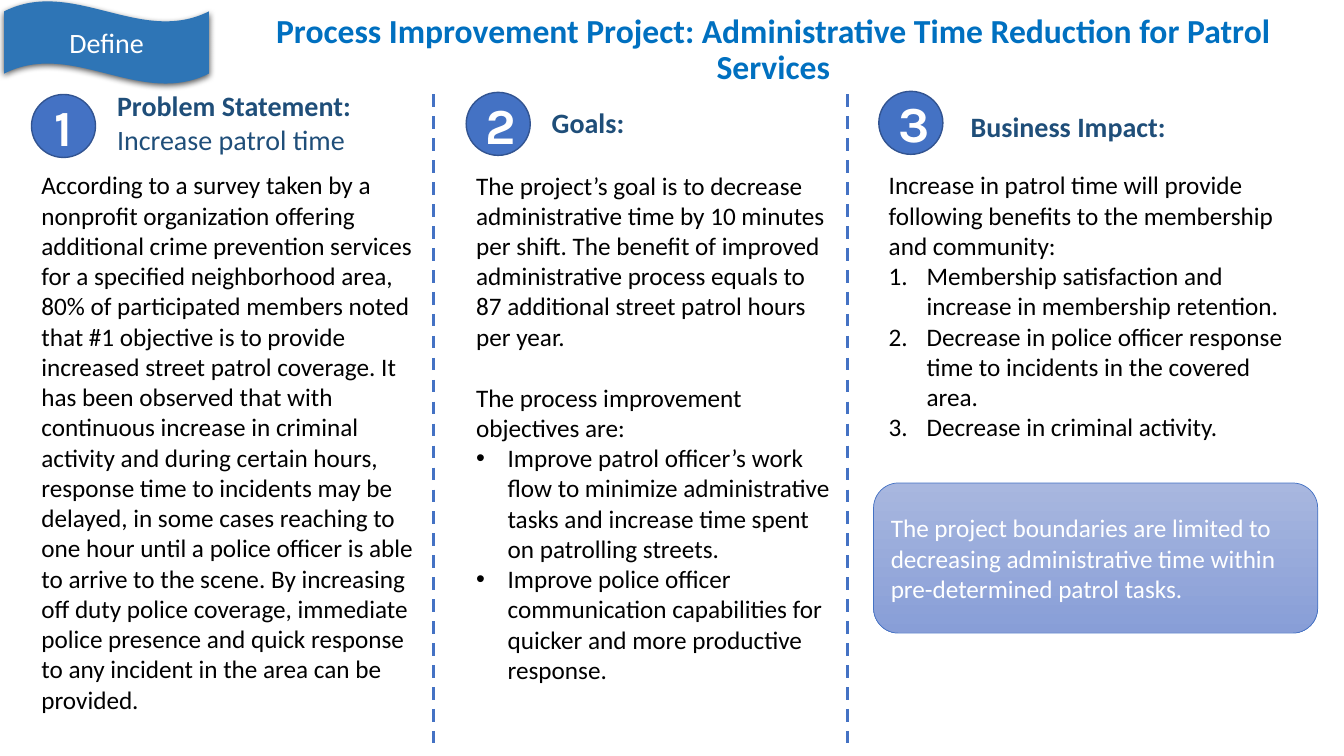
"""Build the Define slide of a patrol process improvement project."""
from lxml.etree import SubElement
from pptx import Presentation
from pptx.dml.color import RGBColor
from pptx.enum.dml import MSO_LINE
from pptx.enum.shapes import MSO_CONNECTOR, MSO_SHAPE
from pptx.enum.text import MSO_ANCHOR, PP_ALIGN
from pptx.oxml import parse_xml
from pptx.oxml.ns import nsdecls, qn
from pptx.util import Pt

PX = 9525
THEME = {
    "title": "0070C0", "heading": "1F4E79", "body": "000000", "white": "FFFFFF",
    "accent": "4472C4", "circle_line": "325491", "wave": "2E75B6",
    "gradient": ("A8B7DF", "889ED7"),
    "title_size": 24, "heading_size": 20, "body_size": 18, "number_size": 36,
    "font": "Calibri", "number_font": "Karla",
}
BULLETS = {
    "dot": (30, "buChar", {"char": "•"}),
    "number": (36, "buAutoNum", {"type": "arabicPeriod"}),
}
COLUMNS = [
    {
        "x": 30, "circle_y": 90, "heading_box": (102, 80, 343, 74), "body_size": (380, 563),
        "heading": [("Problem Statement:", True), ("Increase patrol time", False)],
        "body": [(
            "According to a survey taken by a nonprofit organization offering additional crime "
            "prevention services for a specified neighborhood area, 80% of participated members "
            "noted that #1 objective is to provide increased street patrol coverage. It has been "
            "observed that with continuous increase in criminal activity and during certain "
            "hours, response time to incidents may be delayed, in some cases reaching to one hour "
            "until a police officer is able to arrive to the scene. By increasing off duty police "
            "coverage, immediate police presence and quick response to any incident in the area "
            "can be provided.", None, 0)],
    },
    {
        "x": 444, "circle_y": 88, "heading_box": (516, 96, 258, 42), "body_size": (359, 504),
        "heading": [("Goals:", True)],
        "body": [
            ("The project’s goal is to decrease administrative time by 10 minutes per shift. The "
             "benefit of improved administrative process equals to 87 additional street patrol "
             "hours per year.", None, 0),
            ("The process improvement objectives are:", None, 22),
            ("Improve patrol officer’s work flow to minimize administrative tasks and increase "
             "time spent on patrolling streets.", "dot", 0),
            ("Improve police officer communication capabilities for quicker and more productive "
             "response.", "dot", 0),
        ],
    },
    {
        "x": 837, "circle_y": 87, "heading_box": (915, 100, 343, 42), "body_size": (414, 300),
        "heading": [("Business Impact:", True)],
        "body": [
            ("Increase in patrol time will provide following benefits to the membership and "
             "community:", None, 0),
            ("Membership satisfaction and increase in membership retention.", "number", 0),
            ("Decrease in police officer response time to incidents in the covered area.",
             "number", 0),
            ("Decrease in criminal activity.", "number", 0),
        ],
    },
]


def add_box(box, shape=None):
    """Add a preset shape, or a text box, with wrapped text."""
    box = [v * PX for v in box]
    if shape is None:
        sp = s.shapes.add_textbox(*box)
    else:
        sp = s.shapes.add_shape(shape, *box)
        sp.shadow.inherit = False
        sp.text_frame.vertical_anchor = MSO_ANCHOR.MIDDLE
    sp.text_frame.word_wrap = True
    return sp


def add_text(p, text, size, color, bold=False, font="font", align=PP_ALIGN.LEFT):
    """Add one styled run to a paragraph."""
    p.alignment = align
    r = p.add_run()
    r.text = text
    r.font.name = THEME[font]
    r.font.size = Pt(THEME[size])
    r.font.bold = bold
    r.font.color.rgb = RGBColor.from_string(THEME[color])


prs = Presentation()
prs.slide_width, prs.slide_height = 1280 * PX, 720 * PX
s = prs.slides.add_slide(prs.slide_layouts[6])

title = add_box((215, 12, 1043, 72))
title.text_frame.vertical_anchor = MSO_ANCHOR.MIDDLE
p = title.text_frame.paragraphs[0]
p.line_spacing = 0.9
add_text(p, "Process Improvement Project: Administrative Time Reduction for Patrol Services",
         "title_size", "title", bold=True, align=PP_ALIGN.CENTER)

for number, column in enumerate(COLUMNS, 1):
    tf = add_box((column["x"], 157, *column["body_size"])).text_frame
    for i, (text, bullet, space) in enumerate(column["body"]):
        p = tf.add_paragraph() if i else tf.paragraphs[0]
        if bullet:
            indent, tag, attributes = BULLETS[bullet]
            pPr = p._p.get_or_add_pPr()
            pPr.set("marL", str(indent * PX))
            pPr.set("indent", str(-indent * PX))
            SubElement(pPr, qn("a:buFont"), typeface="Arial" if bullet == "dot" else "+mj-lt")
            SubElement(pPr, qn(f"a:{tag}"), attributes)
        if space:
            p.space_before = Pt(space)
        add_text(p, text, "body_size", "body")

    circle = add_box((column["x"], column["circle_y"], 61, 60), MSO_SHAPE.OVAL)
    circle.fill.solid()
    circle.fill.fore_color.rgb = RGBColor.from_string(THEME["accent"])
    circle.line.color.rgb = RGBColor.from_string(THEME["circle_line"])
    circle.line.width = Pt(1)
    add_text(circle.text_frame.paragraphs[0], str(number), "number_size", "white",
             bold=True, font="number_font", align=PP_ALIGN.CENTER)

    tf = add_box(column["heading_box"]).text_frame
    for i, (text, bold) in enumerate(column["heading"]):
        p = tf.add_paragraph() if i else tf.paragraphs[0]
        add_text(p, text, "heading_size", "heading", bold=bold)

for x in (413, 807):
    divider = s.shapes.add_connector(MSO_CONNECTOR.STRAIGHT, x * PX, 90 * PX, x * PX, 716 * PX)
    divider.line.color.rgb = RGBColor.from_string(THEME["accent"])
    divider.line.width = Pt(2.25)
    divider.line.dash_style = MSO_LINE.DASH
    SubElement(divider._element.spPr, qn("a:effectLst"))

scope = add_box((832, 460, 423, 143), MSO_SHAPE.ROUNDED_RECTANGLE)
scope.fill.gradient()
scope.fill.gradient_angle = 270
for stop, position, color in zip(scope.fill.gradient_stops, (0, 1), THEME["gradient"]):
    stop.position = position
    stop.color.rgb = RGBColor.from_string(color)
scope.line.color.rgb = RGBColor.from_string(THEME["accent"])
scope.line.width = Pt(0.5)
add_text(scope.text_frame.paragraphs[0],
         "The project boundaries are limited to decreasing administrative time within "
         "pre-determined patrol tasks.", "body_size", "white")

wave = add_box((4, 1, 195, 79), MSO_SHAPE.WAVE)
wave.fill.solid()
wave.fill.fore_color.rgb = RGBColor.from_string(THEME["wave"])
wave.line.fill.background()
wave._element.spPr.find(qn("a:effectLst")).append(parse_xml(
    f'<a:outerShdw {nsdecls("a")} blurRad="{Pt(4.5)}" dist="{Pt(1.5)}" dir="5400000" '
    'algn="ctr" rotWithShape="0"><a:srgbClr val="000000"><a:alpha val="63000"/></a:srgbClr>'
    '</a:outerShdw>'))
add_text(wave.text_frame.paragraphs[0], "Define", "heading_size", "white",
         align=PP_ALIGN.CENTER)

prs.save("out.pptx")
